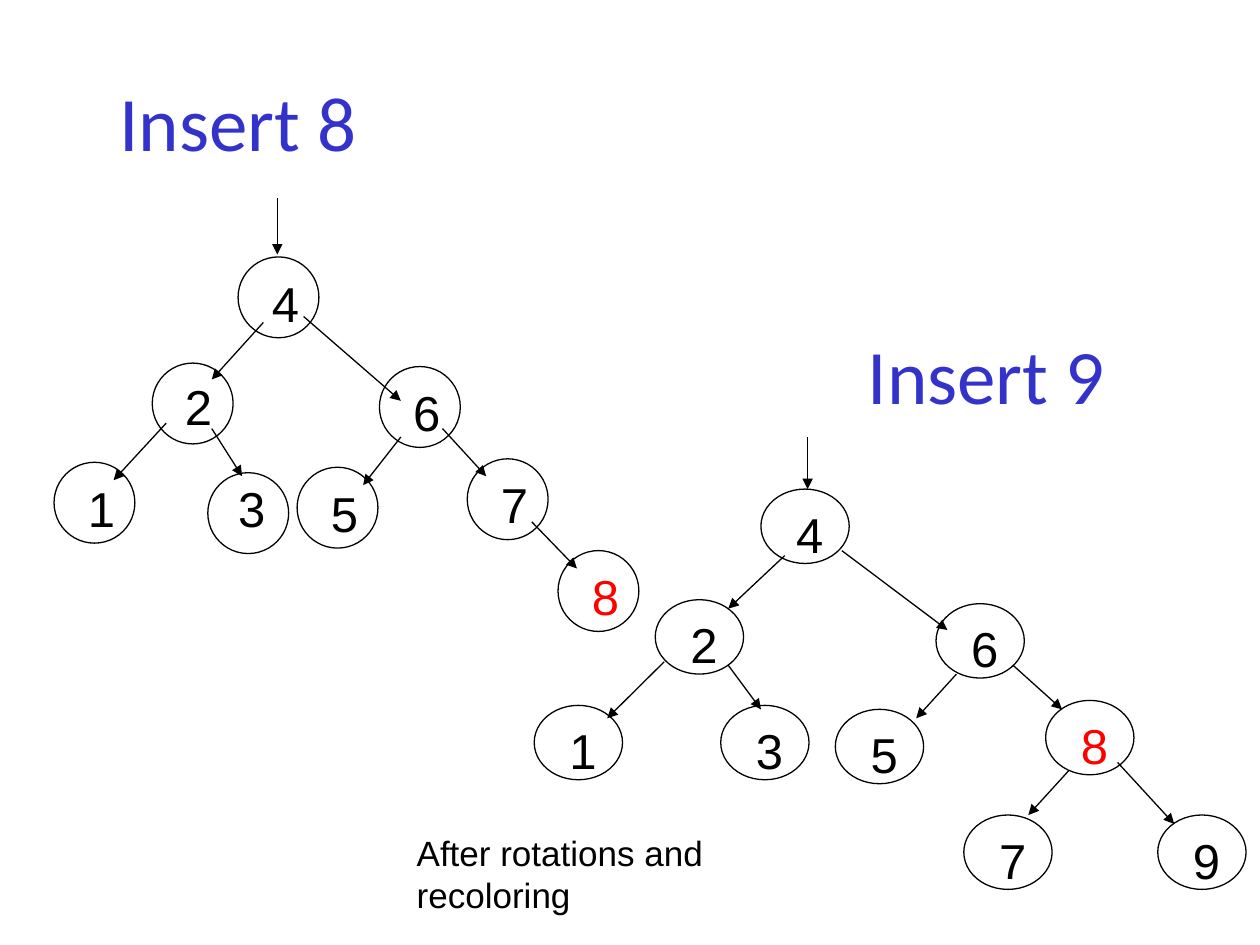
from lxml.etree import SubElement
from pptx import Presentation
from pptx.dml.color import RGBColor
from pptx.enum.shapes import MSO_CONNECTOR, MSO_SHAPE
from pptx.enum.text import MSO_ANCHOR, MSO_AUTO_SIZE, PP_ALIGN
from pptx.oxml.ns import qn
from pptx.util import Cm, Pt

BLACK, RED, BLUE = "000000", "FF0000", "3333CC"

FIRST_TREE = {
    "node_size": (1.63, 1.63),
    "label_size": (0.8, 1.3),
    "label_offset": (0.43, 0.2),
    "nodes": {
        "4": (4.8, 5.18), "2": (3.07, 7.32), "3": (4.19, 9.53),
        "6": (7.65, 7.39), "5": (5.99, 9.42), "7": (9.42, 9.25),
        "1": (1.09, 9.32), "8": (11.25, 11.1),
    },
    "special_offsets": {"2": (0.41, 0.15), "3": (0.36, 0)},
    "arrows": [
        (5.59, 3.99, 5.59, 5.13),
        (5.31, 6.5, 4.27, 7.65),
        (6.12, 6.38, 8.08, 8.08),
        (8.08, 8.81, 7.32, 9.78),
        (8.92, 8.64, 9.8, 9.6),
        (3.35, 8.53, 2.29, 9.68),
        (4.27, 8.64, 4.88, 9.6),
        (10.72, 10.52, 11.63, 11.46),
    ],
}

SECOND_TREE = {
    "node_size": (1.78, 1.5),
    "label_size": (0.81, 1.22),
    "label_offset": (0.46, 0.18),
    "nodes": {
        "4": (15.34, 9.86), "2": (13.21, 12.09), "3": (14.53, 14.22),
        "6": (18.87, 12.17), "5": (16.84, 14.3), "8": (21.08, 14.12),
        "1": (10.77, 14.22), "7": (19.43, 16.43), "9": (23.34, 16.43),
    },
    "special_offsets": {},
    "arrows": [
        (16.28, 8.81, 16.28, 9.86),
        (15.82, 11.2, 14.68, 12.27),
        (16.97, 11.1, 19.1, 12.7),
        (19.28, 13.59, 18.47, 14.48),
        (20.42, 13.41, 21.41, 14.3),
        (13.39, 13.34, 12.24, 14.48),
        (14.68, 13.41, 15.34, 14.3),
        (21.54, 15.54, 20.73, 16.43),
        (22.53, 15.37, 23.67, 16.61),
    ],
}


def color(value):
    return RGBColor.from_string(value)


def write(box, text, font, size, shade, align=PP_ALIGN.LEFT):
    para = box.text_frame.paragraphs[0]
    para.alignment = align
    span = para.add_run()
    span.text = text
    span.font.name = font
    span.font.size = Pt(size)
    span.font.color.rgb = color(shade)


def write_heading(box, text):
    frame = box.text_frame
    frame.word_wrap = True
    frame.auto_size = MSO_AUTO_SIZE.NONE
    frame.vertical_anchor = MSO_ANCHOR.MIDDLE
    write(box, text, "Calibri", 44, BLUE, PP_ALIGN.CENTER)


def add_text_box(shapes, left, top, width, height):
    return shapes.add_textbox(Cm(left), Cm(top), Cm(width), Cm(height))


def add_note(shapes, text, left, top, width, height):
    box = add_text_box(shapes, left, top, width, height)
    box.text_frame.word_wrap = True
    box.text_frame.auto_size = MSO_AUTO_SIZE.SHAPE_TO_FIT_TEXT
    write(box, text, "Arial", 20, BLACK)


def add_node(shapes, key, position, size, label_offset, label_size):
    left, top = position
    circle = shapes.add_shape(MSO_SHAPE.OVAL, Cm(left), Cm(top), Cm(size[0]), Cm(size[1]))
    circle.shadow.inherit = False
    circle.fill.background()
    circle.line.color.rgb = color(BLACK)
    circle.line.width = Pt(0.75)
    label = add_text_box(shapes, left + label_offset[0], top + label_offset[1], *label_size)
    label.text_frame.word_wrap = False
    label.text_frame.auto_size = MSO_AUTO_SIZE.SHAPE_TO_FIT_TEXT
    write(label, key, "Arial", 28, RED if key == "8" else BLACK)


def add_arrow(shapes, ends):
    arrow = shapes.add_connector(MSO_CONNECTOR.STRAIGHT, *map(Cm, ends))
    arrow.line.color.rgb = color(BLACK)
    arrow.line.width = Pt(0.75)
    SubElement(arrow.line._get_or_add_ln(), qn("a:tailEnd"), type="triangle")
    SubElement(arrow._element.spPr, qn("a:effectLst"))


def add_tree(slide, tree):
    shapes = slide.shapes.add_group_shape().shapes
    for key, position in tree["nodes"].items():
        offset = tree["special_offsets"].get(key, tree["label_offset"])
        add_node(shapes, key, position, tree["node_size"], offset, tree["label_size"])
    for ends in tree["arrows"]:
        add_arrow(shapes, ends)


def main():
    deck = Presentation()
    deck.slide_width, deck.slide_height = Cm(25.4), Cm(19.05)
    page = deck.slides.add_slide(deck.slide_layouts[5])
    title = page.shapes.title
    title.left, title.top, title.width, title.height = map(Cm, (0.41, 0.84, 8.79, 3.18))
    write_heading(title, "Insert 8")
    add_tree(page, FIRST_TREE)
    write_heading(add_text_box(page.shapes, 15.32, 5.94, 9.14, 3.18), "Insert 9")
    add_tree(page, SECOND_TREE)
    add_note(page.shapes, "After rotations and recoloring", 8.15, 16.64, 7.16, 1.96)
    deck.save("out.pptx")


if __name__ == "__main__":
    main()
